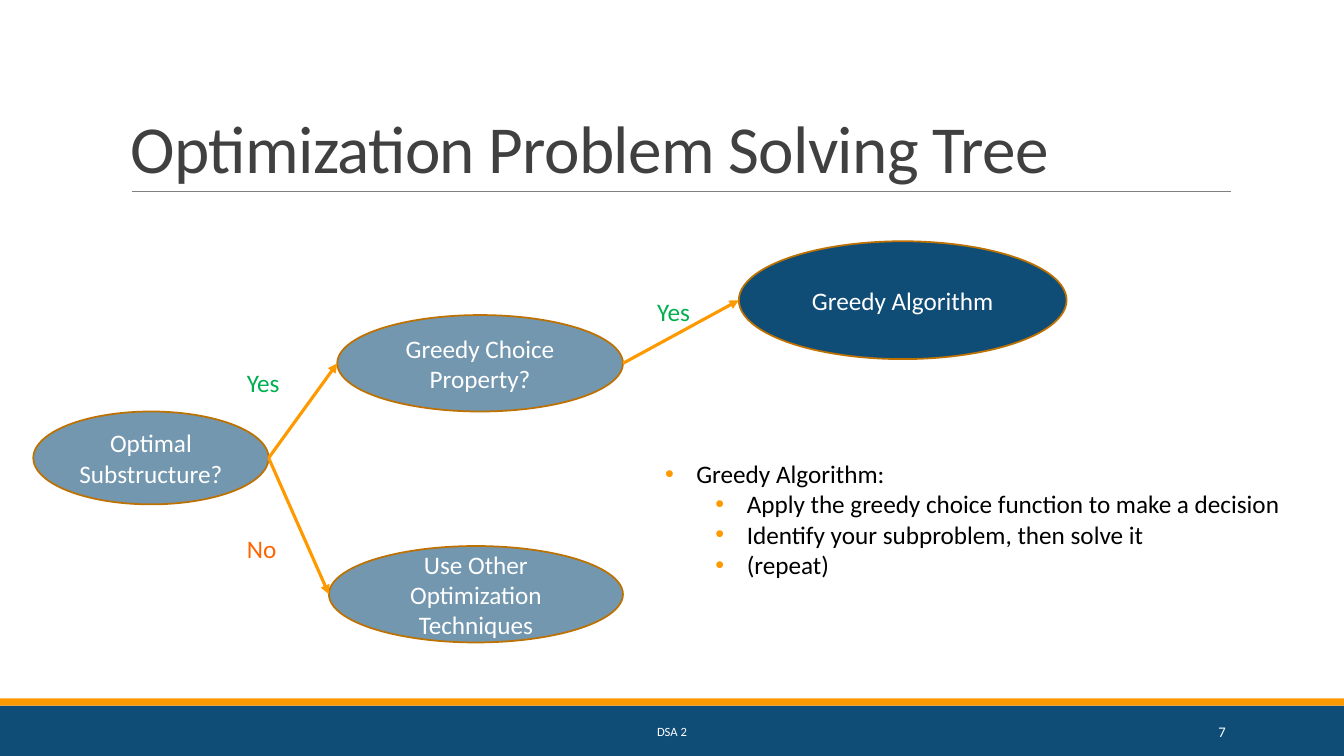
from lxml import etree
from pptx import Presentation
from pptx.dml.color import RGBColor
from pptx.enum.shapes import MSO_CONNECTOR, MSO_SHAPE
from pptx.enum.text import MSO_ANCHOR, PP_ALIGN
from pptx.oxml.ns import qn
from pptx.util import Cm, Pt

RECT, ELLIPSE = MSO_SHAPE.RECTANGLE, MSO_SHAPE.OVAL
STRAIGHT = MSO_CONNECTOR.STRAIGHT
TOP, MIDDLE, BOTTOM = MSO_ANCHOR.TOP, MSO_ANCHOR.MIDDLE, MSO_ANCHOR.BOTTOM
LEFT, CENTER, RIGHT = PP_ALIGN.LEFT, PP_ALIGN.CENTER, PP_ALIGN.RIGHT

FONT = "Calibri"
NAVY, ORANGE, BROWN = "0F4C76", "FF9900", "BD7100"
WHITE, BLACK, GREY, GREEN, RED = "FFFFFF", "000000", "808080", "00B050", "FF6600"


def rgb(value):
    return RGBColor.from_string(value)


def write(sp, text, size, color, align=LEFT, anchor=TOP):
    """Fill a shape with one formatted run per line of text."""
    tf = sp.text_frame
    tf.word_wrap = True
    tf.vertical_anchor = anchor
    for i, line in enumerate(text.split("\n")):
        p = tf.paragraphs[0] if i == 0 else tf.add_paragraph()
        p.alignment = align
        r = p.add_run()
        r.text = line
        r.font.name = FONT
        r.font.size = Pt(size)
        r.font.color.rgb = rgb(color)
    return tf


prs = Presentation()
prs.slide_width, prs.slide_height = Cm(33.87), Cm(19.05)
s = prs.slides.add_slide(prs.slide_layouts[6])

# Footer bands
for top, height, color in [(17.78, 1.27, NAVY), (17.6, 0.18, ORANGE)]:
    band = s.shapes.add_shape(RECT, 0, Cm(top), prs.slide_width, Cm(height))
    band.shadow.inherit = False
    band.fill.solid()
    band.fill.fore_color.rgb = rgb(color)
    band.line.fill.background()

# Title
title = s.shapes.add_textbox(Cm(3.05), Cm(0.79), Cm(27.94), Cm(4.05))
p = write(title, "Optimization Problem Solving Tree", 48, "404040", anchor=BOTTOM).paragraphs[0]
p.line_spacing = 0.85
p.runs[0].font._element.set("spc", "-50")

# Decision tree nodes: left, top, width, height, opacity in percent
nodes = {}
for text, left, top, width, height, opacity in [
    ("Optimal Substructure?", 0.84, 10.37, 5.93, 2.34, 58),
    ("Greedy Choice Property?", 8.5, 7.94, 7.2, 2.43, 58),
    ("Use Other Optimization Techniques", 8.29, 13.76, 7.41, 2.43, 58),
    ("Greedy Algorithm", 18.62, 6.08, 8.26, 2.97, 100),
]:
    node = s.shapes.add_shape(ELLIPSE, Cm(left), Cm(top), Cm(width), Cm(height))
    node.shadow.inherit = False
    node.fill.solid()
    node.fill.fore_color.rgb = rgb(NAVY)
    if opacity < 100:
        srgb = node._element.spPr.find(f"{qn('a:solidFill')}/{qn('a:srgbClr')}")
        etree.SubElement(srgb, qn("a:alpha"), val=str(opacity * 1000))
    node.line.color.rgb = rgb(BROWN)
    node.line.width = Pt(1.25)
    write(node, text, 18, WHITE, CENTER, MIDDLE)
    nodes[text] = node

# Title rule, then arrows from the right of one node to the left of the next
lines = [(Cm(3.33), Cm(4.83), Cm(31.01), Cm(4.83), GREY, 0.5, False)]
for start, end in [
    ("Optimal Substructure?", "Greedy Choice Property?"),
    ("Optimal Substructure?", "Use Other Optimization Techniques"),
    ("Greedy Choice Property?", "Greedy Algorithm"),
]:
    a, b = nodes[start], nodes[end]
    lines.append((a.left + a.width, a.top + a.height // 2,
                  b.left, b.top + b.height // 2, ORANGE, 2.25, True))

for x1, y1, x2, y2, color, width, arrow in lines:
    line = s.shapes.add_connector(STRAIGHT, x1, y1, x2, y2)
    line.line.color.rgb = rgb(color)
    line.line.width = Pt(width)
    if arrow:
        etree.SubElement(line.line._get_or_add_ln(), qn("a:tailEnd"), type="triangle")
    etree.SubElement(line._element.spPr, qn("a:effectLst"))

# Branch labels
for text, left, top, color in [
    ("Yes", 5.97, 9.14, GREEN),
    ("No", 5.97, 13.31, RED),
    ("Yes", 16.31, 7.34, GREEN),
]:
    label = s.shapes.add_textbox(Cm(left), Cm(top), Cm(1.7), Cm(1.02))
    write(label, text, 18, color)

# Footer text
footer = s.shapes.add_textbox(Cm(10.24), Cm(17.93), Cm(13.39), Cm(1.02))
write(footer, "DSA 2", 9, WHITE, CENTER, MIDDLE)
number = s.shapes.add_textbox(Cm(27.51), Cm(17.93), Cm(3.63), Cm(1.02))
write(number, "7", 10.5, WHITE, RIGHT, MIDDLE)

# Algorithm steps
steps = s.shapes.add_textbox(Cm(16.51), Cm(11.43), Cm(16.94), Cm(4.11))
tf = write(steps, "Greedy Algorithm:\n"
           "Apply the greedy choice function to make a decision\n"
           "Identify your subproblem, then solve it\n"
           "(repeat)", 18, BLACK)
for i, p in enumerate(tf.paragraphs):
    p.level = min(i, 1)
    pPr = p._p.get_or_add_pPr()
    pPr.set("marL", str(Cm(0.79 + 1.27 * p.level)))
    pPr.set("indent", str(-Cm(0.79)))
    bullet_color = etree.SubElement(pPr, qn("a:buClr"))
    etree.SubElement(bullet_color, qn("a:srgbClr"), val=ORANGE)
    etree.SubElement(pPr, qn("a:buFont"), typeface="Arial")
    etree.SubElement(pPr, qn("a:buChar"), char="•")

prs.save("out.pptx")
